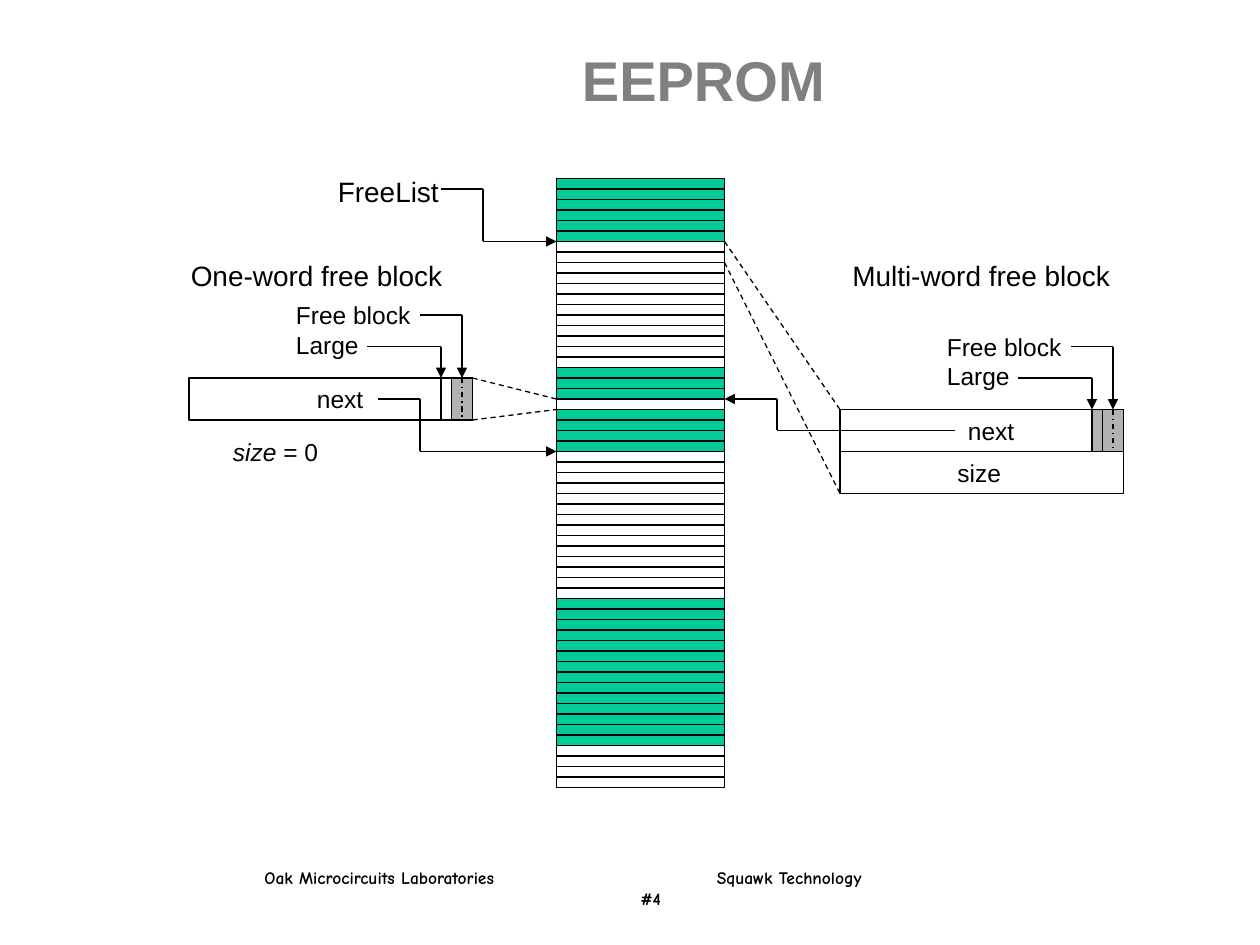
from lxml import etree
from pptx import Presentation
from pptx.dml.color import RGBColor
from pptx.enum import dml, shapes, text
from pptx.oxml.ns import qn
from pptx.util import Emu, Pt

PX = 7620  # 120 px to the inch

# Content
TITLE = "EEPROM"
FOOTER = [("Oak Microcircuits Laboratories\tSquawk Technology", 431),
          ("\t#4", 358)]  # text, tab stop
GREEN, GREY, BLACK = "00CC99", "B2B2B2", "000000"
RUNS = [(6, GREEN), (12, None), (3, GREEN), (1, None),
        (4, GREEN), (14, None), (14, GREEN), (4, None)]  # words, fill
STACK_X, STACK_Y, STACK_W, ROW_H = 530, 170, 160, 10
WORD_W, WORD_H = 270, 40
BLOCKS = [(180, 360, None), (800, 390, GREY)]  # left, top, "large" flag fill

LABELS = [  # text, left, top, width, height, size
    ("FreeList", 310, 160, 120, 44, 16),
    ("One-word free block", 170, 240, 264, 44, 16),
    ("Multi-word free block", 800, 240, 270, 44, 16),
    ("size", 900, 430, 66, 41, 14),
]
ARROWS = [
    [(420, 180), (460, 180), (460, 230), (530, 230)],
    [(910, 410), (740, 410), (740, 380), (690, 380)],
    [(360, 380), (400, 380), (400, 430), (530, 430)],
]
ZOOM_LINES = [
    [(690, 230), (800, 390)], [(690, 250), (800, 470)],
    [(450, 360), (530, 380)], [(450, 400), (530, 390)],
]


def px(*values):
    return [Emu(value * PX) for value in values]


def colour(value):
    return RGBColor.from_string(value)


def style(font, size, name="Arial", ink=BLACK, **flags):
    font.color.rgb = colour(ink)
    for key, value in dict(size=Pt(size), name=name, **flags).items():
        setattr(font, key, value)


def add_rect(left, top, width, height, fill=None):
    rect = page.shapes.add_shape(shapes.MSO_SHAPE.RECTANGLE,
                                 *px(left, top, width, height))
    rect.shadow.inherit = False
    if fill:
        rect.fill.solid()
        rect.fill.fore_color.rgb = colour(fill)
    else:
        rect.fill.background()
    rect.line.color.rgb = colour(BLACK)
    rect.line.width = Pt(0.75)
    return rect


def add_line(start, end, dash=None, arrow=False):
    line = page.shapes.add_connector(shapes.MSO_CONNECTOR.STRAIGHT,
                                     *px(*start, *end))
    line.line.color.rgb = colour(BLACK)
    line.line.width = Pt(0.75)
    if dash:
        line.line.dash_style = dash
    if arrow:
        etree.SubElement(line.line._get_or_add_ln(), qn("a:tailEnd"), type="triangle")
    etree.SubElement(line._element.spPr, qn("a:effectLst"))
    return line


def add_arrow(points):
    """Draw a bent line and return its last, arrow-headed part."""
    for start, end in zip(points, points[1:]):
        line = add_line(start, end, arrow=end == points[-1])
    return line


def add_text(lines, left, top, width, height, size, wrap=False, **flags):
    """Each line is a list of (words, italic) spans."""
    box = page.shapes.add_textbox(*px(left, top, width, height))
    box.text_frame.word_wrap = wrap
    box.text_frame.auto_size = text.MSO_AUTO_SIZE.SHAPE_TO_FIT_TEXT
    for index, spans in enumerate(lines):
        para = (box.text_frame.add_paragraph() if index
                else box.text_frame.paragraphs[0])
        for words, italic in spans:
            span = para.add_run()
            span.text = words
            style(span.font, size, italic=italic, **flags)
    return box


deck = Presentation()
deck.slide_width, deck.slide_height = px(1200, 900)
page = deck.slides.add_slide(deck.slide_layouts[5])

# Title
title = page.shapes.title
title.left, title.top, title.width, title.height = px(210, 20, 920, 110)
title.text_frame.text = TITLE
title.text_frame.vertical_anchor = text.MSO_ANCHOR.MIDDLE
title_para = title.text_frame.paragraphs[0]
title_para.alignment = text.PP_ALIGN.CENTER
style(title_para.runs[0].font, 32, ink="808080", bold=True)

# Footer
footer = add_text([[(words, False)] for words, _ in FOOTER],
                  240, 820, 755, 53, 10, wrap=True, name="Comic Neue", bold=True)
for para, (_, stop) in zip(footer.text_frame.paragraphs, FOOTER):
    tabs = etree.SubElement(para._p.get_or_add_pPr(), qn("a:tabLst"))
    etree.SubElement(tabs, qn("a:tab"), pos=str(stop * PX), algn="l")

# Memory stack
fills = [fill for count, fill in RUNS for _ in range(count)]
for row, fill in enumerate(fills):
    add_rect(STACK_X, STACK_Y + row * ROW_H, STACK_W, ROW_H, fill)

# Free block words with their flags
for left, top, large_fill in BLOCKS:
    add_rect(left, top, WORD_W, WORD_H)
    add_text([[("next", False)]], left + 110, top, 90, 41, 14, wrap=True)
    free_flag = add_rect(left + 250, top, 20, WORD_H, GREY)
    add_rect(left + 240, top, 10, WORD_H, large_fill)
    middle = left + 260
    divider = add_line((middle, top), (middle, top + WORD_H),
                       dml.MSO_LINE.DASH_DOT)
    divider.begin_connect(free_flag, 0)
    divider.end_connect(free_flag, 2)
    add_text([[("Free block", False)], [("Large", False)]],
             left + 90, top - 80, 133, 68, 14)
    pointer = add_arrow([(left + 220, top - 60), (middle, top - 60), (middle, top)])
    pointer.end_connect(free_flag, 0)
    add_arrow([(left + 170, top - 30), (left + 240, top - 30), (left + 240, top)])

# Size word of the multi-word block
add_rect(800, 430, WORD_W, WORD_H)

# Labels
for words, *place in LABELS:
    add_text([[(words, False)]], *place)
add_text([[("size", True), (" = 0", False)]], 210, 410, 106, 41, 14)

# Pointers and zoom lines
for points in ARROWS:
    add_arrow(points)
for start, end in ZOOM_LINES:
    add_line(start, end, dml.MSO_LINE.DASH)

deck.save("out.pptx")
